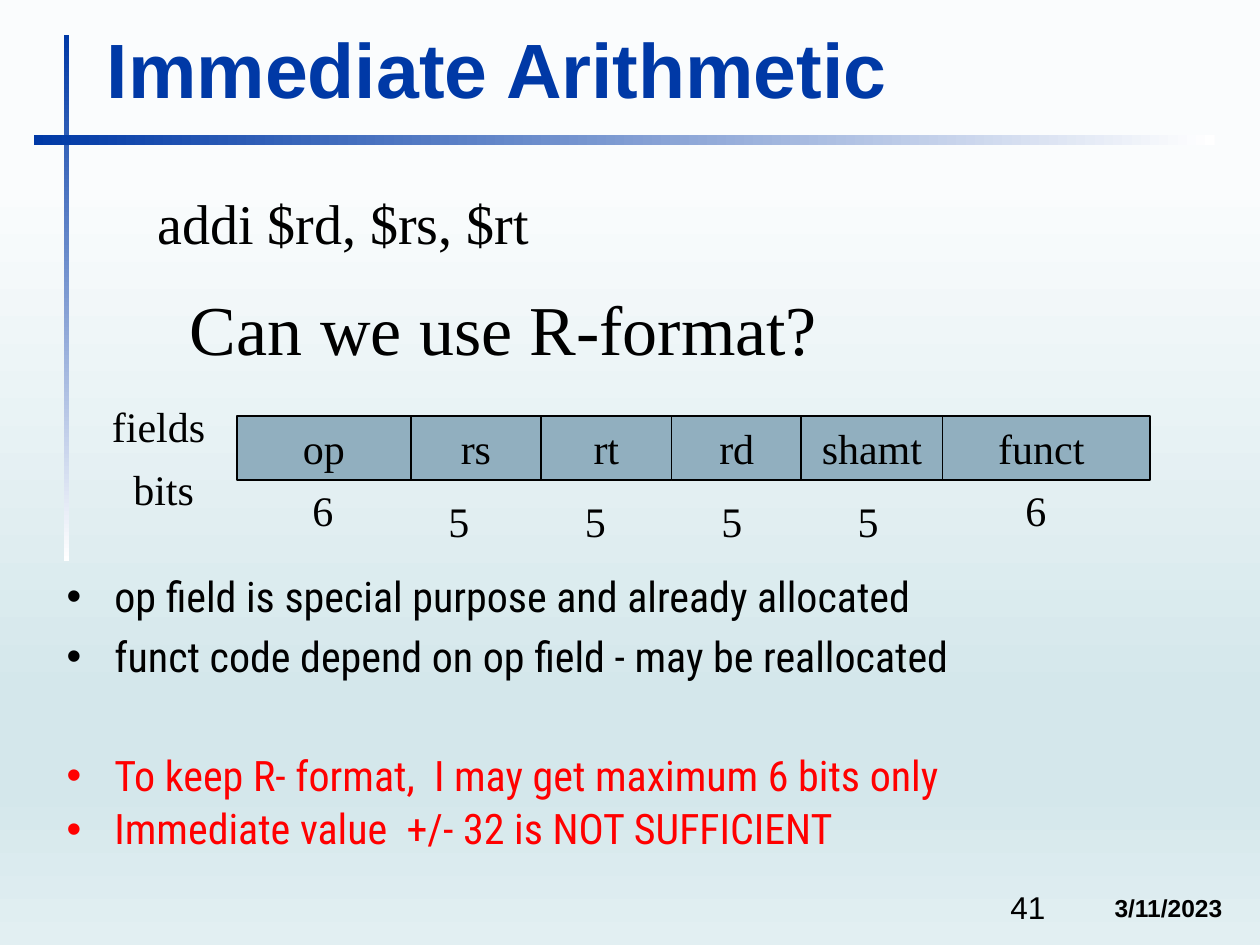
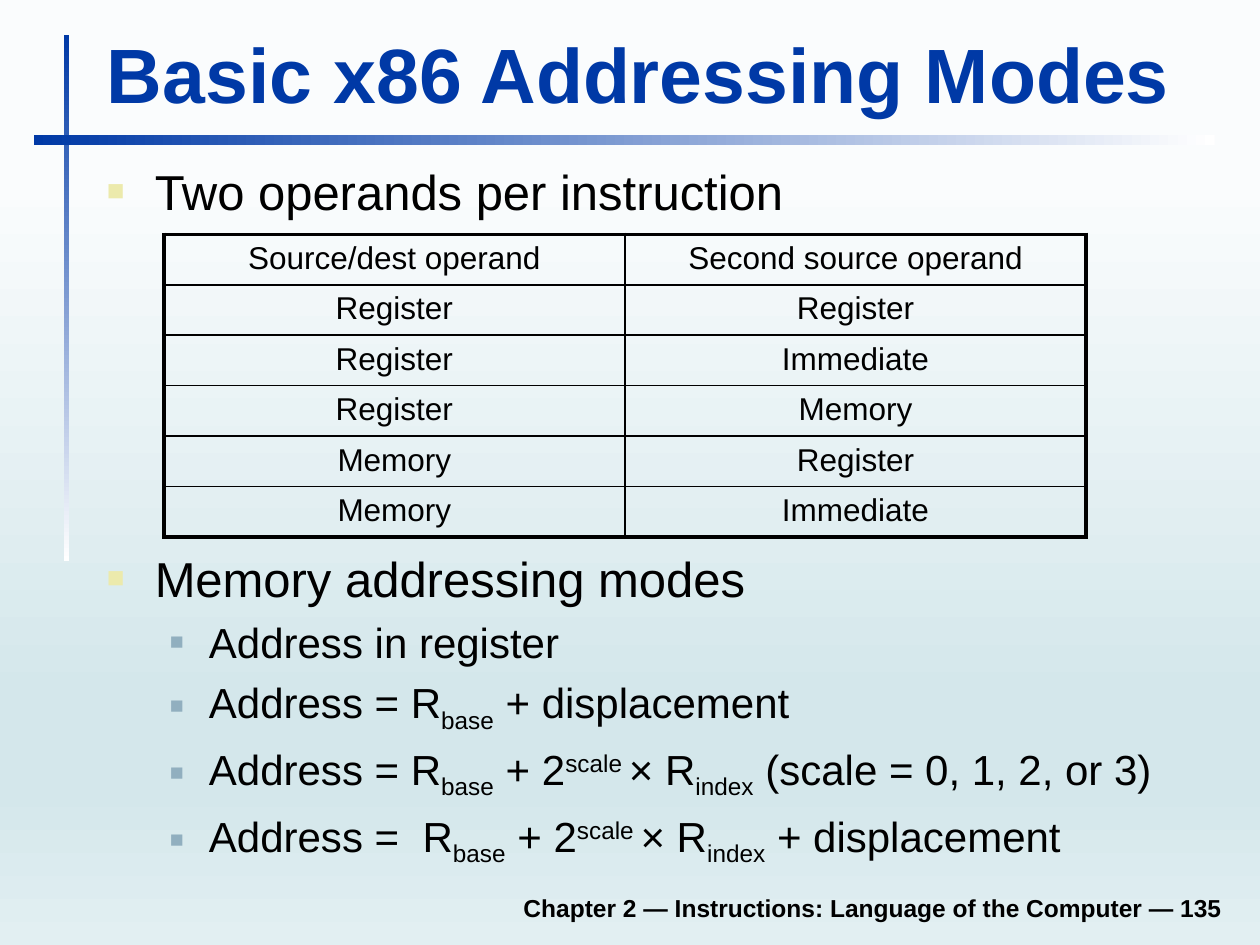
from copy import deepcopy
from dataclasses import dataclass
from itertools import accumulate
from typing import NamedTuple, Sequence

from lxml import etree
from pptx import Presentation
from pptx.dml.color import RGBColor
from pptx.enum import shapes, text
from pptx.oxml.ns import qn
from pptx.util import Inches, Pt

BLACK = RGBColor(0x00, 0x00, 0x00)
WHITE = RGBColor(0xFF, 0xFF, 0xFF)
RED = RGBColor(0xFF, 0x00, 0x00)
NAVY = RGBColor(0x00, 0x39, 0xA6)
STEEL = RGBColor(0x91, 0xAF, 0xBF)
CREAM = RGBColor(0xEC, 0xEA, 0xAC)
SKY = RGBColor(0xD4, 0xE7, 0xEB)

BACKGROUND = [(0.19, RGBColor(0xFA, 0xFC, 0xFD)), (0.74, SKY),
              (0.83, SKY), (1, RGBColor(0xE2, 0xEF, 0xF2))]
FADE = [(0, NAVY), (1, WHITE)]

SANS, SERIF, CONDENSED = "Arial", "Times New Roman", "Roboto Condensed"
LEFT, CENTER, RIGHT = (text.PP_ALIGN.LEFT, text.PP_ALIGN.CENTER,
                       text.PP_ALIGN.RIGHT)
TOP, BOTTOM = text.MSO_ANCHOR.TOP, text.MSO_ANCHOR.BOTTOM


class Box(NamedTuple):
    left: float
    top: float
    width: float
    height: float

    def lengths(self) -> list:
        return [Inches(value) for value in self]


class Run(NamedTuple):
    text: str
    baseline: int = 0


@dataclass(frozen=True)
class Bullet:
    char: str
    indent: float
    hang: float
    level: int = 0
    percent: int = 100
    color: RGBColor | None = None


@dataclass(frozen=True)
class Line:
    runs: tuple
    bullet: Bullet | None = None
    size: float | None = None
    color: RGBColor | None = None
    before: float = 0
    spacing: float | None = None


DOT = Bullet("•", 0.38, 0.38)
MAIN = Bullet("■", 0.38, 0.38, percent=60, color=CREAM)
SUB = Bullet("■", 0.81, 0.31, level=1, percent=55, color=STEEL)


# Text and fills
def add_bullet(paragraph, bullet: Bullet) -> None:
    paragraph.level = bullet.level
    props = paragraph._p.get_or_add_pPr()
    props.set("marL", str(Inches(bullet.indent)))
    props.set("indent", str(-Inches(bullet.hang)))
    if bullet.color is not None:
        color = etree.SubElement(props, qn("a:buClr"))
        etree.SubElement(color, qn("a:srgbClr"), val=str(bullet.color))
    etree.SubElement(props, qn("a:buSzPct"), val=str(bullet.percent * 1000))
    etree.SubElement(props, qn("a:buFont"), typeface=SANS)
    etree.SubElement(props, qn("a:buChar"), char=bullet.char)


def write(frame, content: str | Sequence[Line], *, size: float = 24,
          font: str = SANS, color: RGBColor = BLACK, bold: bool = False,
          align=LEFT, anchor=TOP) -> None:
    frame.word_wrap = True
    frame.vertical_anchor = anchor
    lines = [Line((Run(content),))] if isinstance(content, str) else content
    for index, line in enumerate(lines):
        paragraph = frame.add_paragraph() if index else frame.paragraphs[0]
        paragraph.alignment = align
        if line.before:
            paragraph.space_before = Pt(line.before)
        if line.spacing:
            paragraph.line_spacing = line.spacing
        if line.bullet:
            add_bullet(paragraph, line.bullet)
        for part in line.runs:
            run = paragraph.add_run()
            run.text = part.text
            run.font.name = font
            run.font.size = Pt(line.size or size)
            run.font.bold = bold
            run.font.color.rgb = line.color or color
            if part.baseline:
                run._r.get_or_add_rPr().set("baseline",
                                            str(part.baseline * 1000))


def add_text(slide, box: Box, content: str | Sequence[Line], **style) -> None:
    write(slide.shapes.add_textbox(*box.lengths()).text_frame, content, **style)


def add_rectangle(slide, box: Box):
    rectangle = slide.shapes.add_shape(shapes.MSO_SHAPE.RECTANGLE,
                                       *box.lengths())
    rectangle.shadow.inherit = False
    return rectangle


def fill_gradient(fill, element, stops: list, angle: float) -> None:
    fill.gradient()
    fill.gradient_angle = angle
    stop_list = next(element.iter(qn("a:gsLst")))
    while len(stop_list) < len(stops):
        stop_list.append(deepcopy(stop_list[0]))
    for stop, (position, color) in zip(fill.gradient_stops, stops):
        stop.position = position
        stop.color.rgb = color


# Shared frame: background, crossed bars, footer and title
def add_slide(deck, title: str, title_box: Box, footer: str):
    slide = deck.slides.add_slide(deck.slide_layouts[6])
    fill_gradient(slide.background.fill, slide.element, BACKGROUND, 270)
    for box, angle in ((Box(0.51, 0.28, 0.04, 4.17), 270),
                       (Box(0.27, 1.07, 9.37, 0.08), 0)):
        bar = add_rectangle(slide, box)
        fill_gradient(bar.fill, bar.element, FADE, angle)
        bar.line.fill.background()
    add_text(slide, Box(1.85, 6.98, 7.95, 0.39), footer, size=14, bold=True,
             align=RIGHT, anchor=BOTTOM)
    add_text(slide, title_box, title, size=44, color=NAVY, bold=True,
             anchor=BOTTOM)
    return slide


# Instruction format diagram
class Field(NamedTuple):
    name: str
    left: float
    width: float


REGISTER_LEFT, REGISTER_WIDTH = 3.26, 1.035
FIELDS = [
    Field("op", 1.88, 1.38),
    Field("funct", 7.4, 1.73),
    *(Field(name, REGISTER_LEFT + i * REGISTER_WIDTH, REGISTER_WIDTH)
      for i, name in enumerate(("rs", "rt", "rd"))),
    Field("shamt", 6.36, 1.12),
]
BIT_COUNTS = [("6", 2.38, 3.8), ("6", 8.04, 3.8),
              *(("5", 3.46 + i * 1.083, 3.88) for i in range(4))]


def add_format_diagram(slide) -> None:
    for field in FIELDS:
        cell = add_rectangle(slide, Box(field.left, 3.3, field.width, 0.51))
        cell.fill.solid()
        cell.fill.fore_color.rgb = STEEL
        cell.line.color.rgb = BLACK
        cell.line.width = Pt(1)
        write(cell.text_frame, field.name, font=SERIF, align=CENTER)
    for label, left, top in (("fields", 0.79, 3.13), ("bits", 0.96, 3.63)):
        add_text(slide, Box(left, top, 1.08, 0.5), label, font=SERIF)
    for count, left, top in BIT_COUNTS:
        add_text(slide, Box(left, top, 0.58, 0.5), count, font=SERIF)


def build_immediate_arithmetic(deck) -> None:
    slide = add_slide(deck, "Immediate Arithmetic",
                      Box(0.75, 0.11, 8.42, 0.84), "3/11/2023")
    add_text(slide, Box(7.92, 7, 2.08, 0.5), "41", size=18)
    add_text(slide, Box(1.15, 1.45, 4.67, 0.64), "addi $rd, $rs, $rt",
             size=32, font=SERIF)
    add_format_diagram(slide)
    reasons = [
        Line((Run("op field is special purpose and already allocated"),), DOT),
        Line((Run("funct code depend on op field - may be reallocated"),),
             DOT, before=5.5),
        Line((Run("To keep R- format,  I may get maximum 6 bits only"),),
             DOT, color=RED, before=39),
        Line((Run("Immediate value  +/- 32 is NOT SUFFICIENT"),),
             DOT, color=RED, before=5, spacing=0.9),
    ]
    add_text(slide, Box(0.43, 4.48, 9.8, 2.52), reasons, font=CONDENSED)
    add_text(slide, Box(1.41, 2.22, 5.56, 0.77), "Can we use R-format?",
             size=40, font=SERIF)


# Operand table
OPERANDS = [
    ("Source/dest operand", "Second source operand"),
    ("Register", "Register"),
    ("Register", "Immediate"),
    ("Register", "Memory"),
    ("Memory", "Register"),
    ("Memory", "Immediate"),
]


def add_border(cell, side: str, points: float) -> None:
    edge = etree.SubElement(cell._tc.get_or_add_tcPr(), qn(f"a:ln{side}"),
                            w=str(Pt(points)))
    fill = etree.SubElement(edge, qn("a:solidFill"))
    etree.SubElement(fill, qn("a:srgbClr"), val=str(BLACK))


def add_operand_table(slide) -> None:
    last_row, last_column = len(OPERANDS) - 1, len(OPERANDS[0]) - 1
    table = slide.shapes.add_table(last_row + 1, last_column + 1,
                                   *Box(1.3, 1.86, 7.32, 2.4).lengths()).table
    table.first_row = table.horz_banding = False
    for r, row in enumerate(OPERANDS):
        for c, operand in enumerate(row):
            cell = table.cell(r, c)
            outer = {"L": c == 0, "R": c == last_column,
                     "T": r == 0, "B": r == last_row}
            for side, is_outer in outer.items():
                add_border(cell, side, 2.25 if is_outer else 1)
            cell.fill.background()
            write(cell.text_frame, operand, size=18, align=CENTER)


def build_addressing_modes(deck) -> None:
    slide = add_slide(deck, "Basic x86 Addressing Modes",
                      Box(0.75, 0.16, 9.03, 0.83),
                      "Chapter 2 — Instructions: Language of the Computer — 135")
    add_text(slide, Box(0.75, 1.23, 9.05, 0.71),
             [Line((Run("Two operands per instruction"),), MAIN)], size=28)
    add_operand_table(slide)

    base = Run("base", -25)
    scaled_index = (base, Run(" + 2"), Run("scale ", 30), Run("× R"),
                    Run("index", -25))
    modes = [
        (Run("Address in register"),),
        (Run("Address = R"), base, Run(" + displacement")),
        (Run("Address = R"), *scaled_index, Run(" (scale = 0, 1, 2, or 3)")),
        (Run("Address =  R"), *scaled_index, Run(" + displacement")),
    ]
    add_text(slide, Box(0.75, 4.3, 9.05, 2.52),
             [Line((Run("Memory addressing modes"),), MAIN, size=28),
              *(Line(mode, SUB, before=5.5) for mode in modes)])


def main() -> None:
    deck = Presentation()
    deck.slide_width, deck.slide_height = Inches(10), Inches(7.5)
    build_immediate_arithmetic(deck)
    build_addressing_modes(deck)
    deck.save("out.pptx")


if __name__ == "__main__":
    main()
